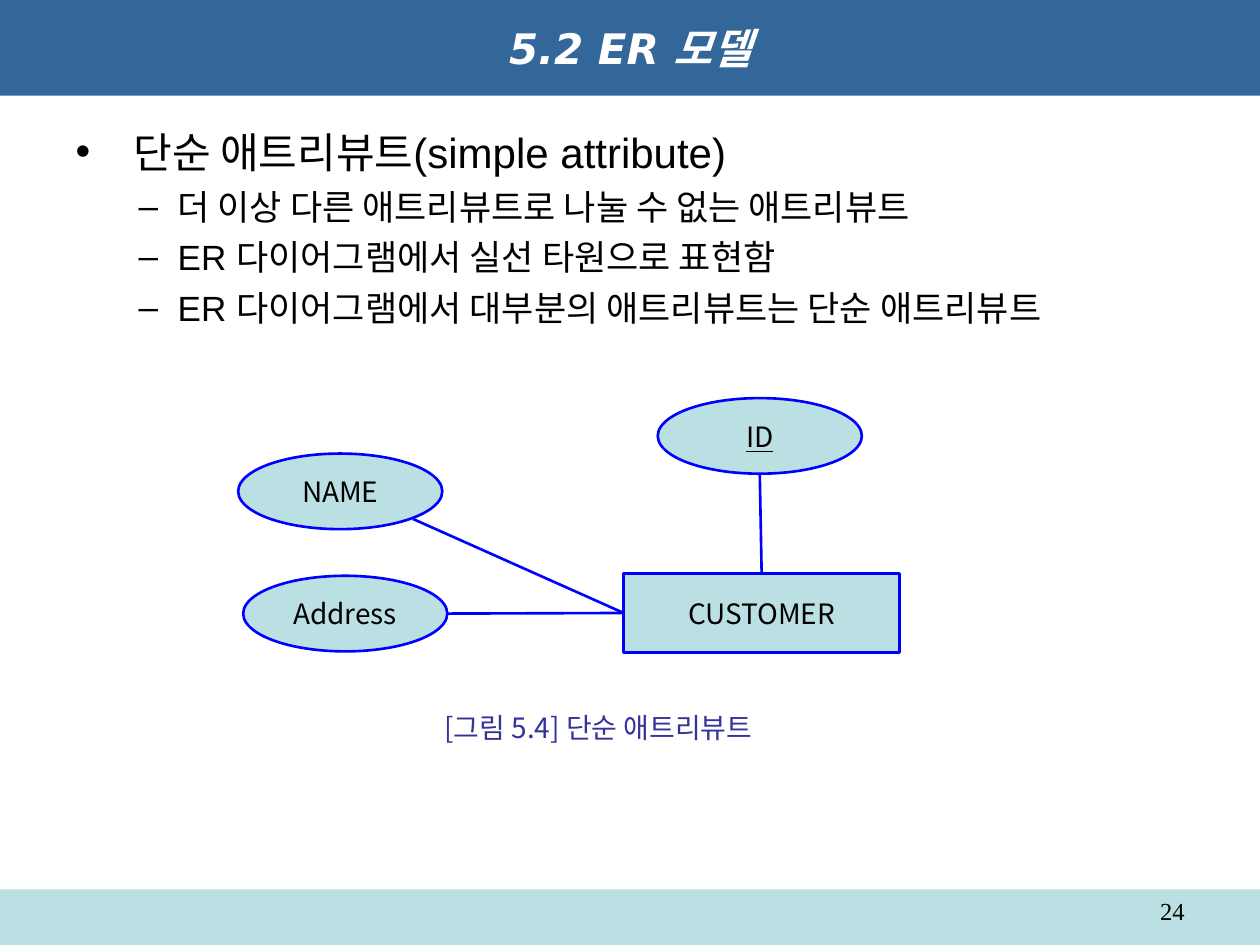
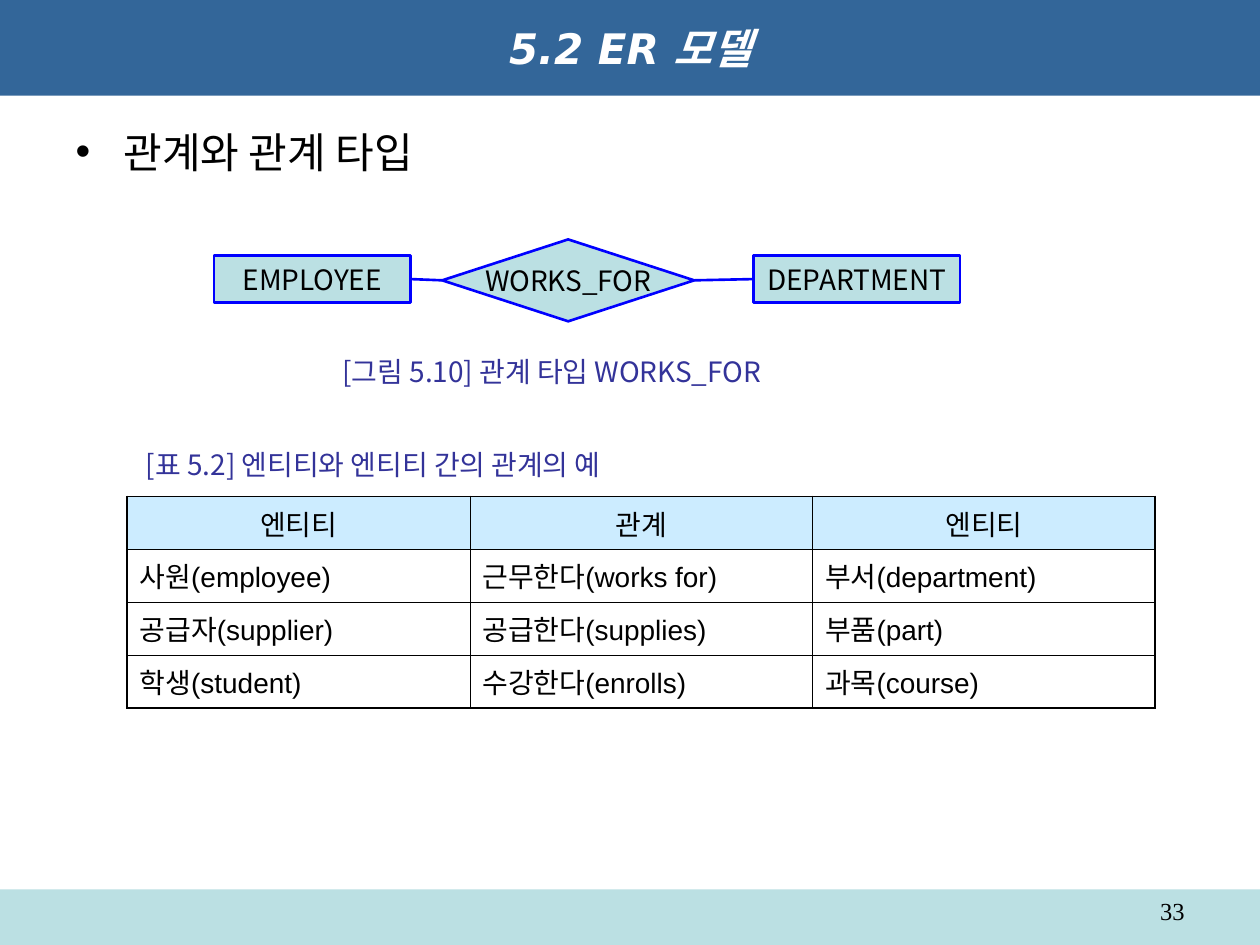
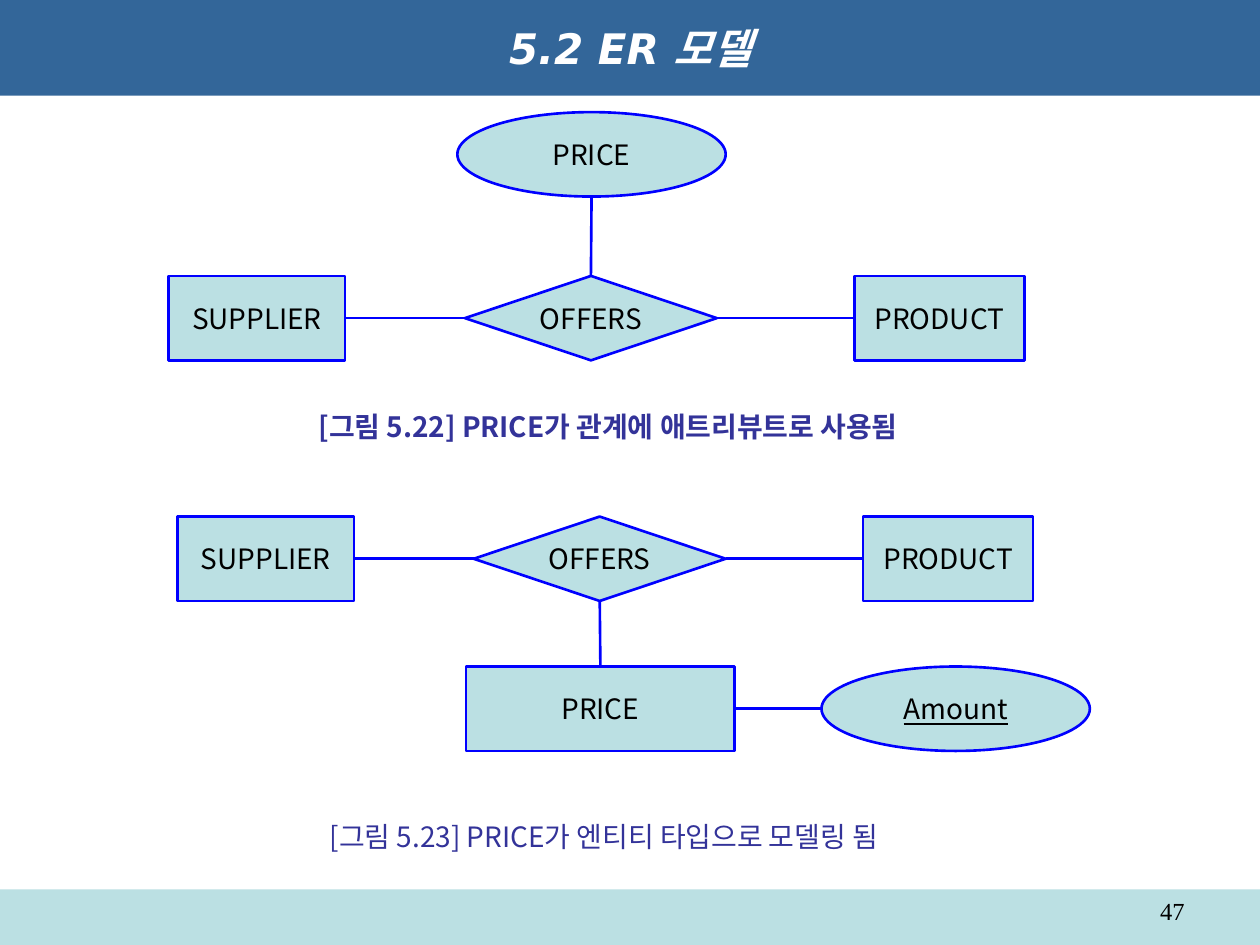
import pptx
import pptx.dml.color
import pptx.enum.shapes
import pptx.enum.text
import pptx.oxml
import pptx.oxml.ns
import pptx.util
from pptx.util import Inches

ALIGN = pptx.enum.text.PP_ALIGN
ANCHOR = pptx.enum.text.MSO_ANCHOR
SHAPE = pptx.enum.shapes.MSO_SHAPE
TOP, LEFT, BOTTOM, RIGHT = range(4)
DRAWING_NS = pptx.oxml.ns.nsdecls("a")


def color(value):
    return pptx.dml.color.RGBColor.from_string(value)


def parse_border(side, width):
    return pptx.oxml.parse_xml(
        f'<a:{side} {DRAWING_NS} w="{int(pptx.util.Pt(width))}"><a:solidFill>'
        f'<a:srgbClr val="000000"/></a:solidFill></a:{side}>')


def side_point(shape, side):
    """Middle of one side of a shape's frame."""
    across = {LEFT: 0, RIGHT: shape.width}.get(side, shape.width // 2)
    down = {TOP: 0, BOTTOM: shape.height}.get(side, shape.height // 2)
    return shape.left + across, shape.top + down


class Lecture:
    """The shared style and the page being filled."""

    BAND, TITLE_BAND, HEADER = "BBE0E3", "336699", "CCECFF"
    LINE, CAPTION, BLACK, WHITE = "0000FF", "333399", "000000", "FFFFFF"
    TITLE_FONT, BODY_FONT, NUMBER_FONT = "DejaVu Sans", "Arial", "Times New Roman"
    NODE_FONT, KOREAN_FONT = "Noto Sans CJK JP", "Noto Sans CJK KR"

    def __init__(self):
        self.deck = pptx.Presentation()
        self.deck.slide_width, self.deck.slide_height = Inches(10), Inches(7.5)
        self.page = None

    def style(self, para, name, size, fill=BLACK, bold=False, italic=False,
              underline=False, align=ALIGN.LEFT):
        para.alignment = align
        font = para.font
        font.name, font.size = name, pptx.util.Pt(size)
        font.bold, font.italic, font.underline = bold, italic, underline
        font.color.rgb = color(fill)
        east_asian = pptx.oxml.parse_xml(
            f'<a:ea {DRAWING_NS} typeface="{self.KOREAN_FONT}"/>')
        para._p.pPr.find(pptx.oxml.ns.qn("a:defRPr")).append(east_asian)

    def place(self, shape, left, top, width, height):
        shape.left, shape.top = Inches(left), Inches(top)
        shape.width, shape.height = Inches(width), Inches(height)

    def start_page(self, number, layout):
        self.page = self.deck.slides.add_slide(self.deck.slide_layouts[layout])
        if len(self.deck.slides) == 1:
            self.footer_band()
        title = self.page.shapes.title
        self.place(title, 0, 0, 10, 0.76)
        title.fill.solid()
        title.fill.fore_color.rgb = color(self.TITLE_BAND)
        title.text_frame.text = "5.2 ER 모델"
        title.text_frame.vertical_anchor = ANCHOR.MIDDLE
        self.style(title.text_frame.paragraphs[0], self.TITLE_FONT, 24, self.WHITE,
                   bold=True, italic=True, align=ALIGN.CENTER)
        box = self.page.shapes.add_textbox(
            Inches(7.17), Inches(7.06), Inches(2.33), Inches(0.29))
        box.text_frame.word_wrap = True
        box.text_frame.text = str(number)
        self.style(box.text_frame.paragraphs[0], self.NUMBER_FONT, 14,
                   align=ALIGN.RIGHT)

    def footer_band(self):
        """Put the band on the master, behind everything else."""
        band = self.page.shapes.add_shape(
            SHAPE.RECTANGLE, 0, Inches(7.06), Inches(10), Inches(0.44))
        band.shadow.inherit = False
        band.fill.solid()
        band.fill.fore_color.rgb = color(self.BAND)
        band.line.fill.background()
        self.deck.slide_master.shapes._spTree.insert(2, band._element)

    def bullets(self, heading, points=(), indent=0.38):
        body = self.page.placeholders[1]
        self.place(body, 0.5, 0.95, 9, 5.95)
        frame = body.text_frame
        frame.auto_size = pptx.enum.text.MSO_AUTO_SIZE.NONE
        frame.text = "\n".join([heading, *points])
        for index, para in enumerate(frame.paragraphs):
            para.level = 1 if index else 0
            margin, hang, size, before = (0.81, 0.31, 20, 5) if index else (
                indent, indent, 24, 0)
            properties = para._p.get_or_add_pPr()
            properties.set("marL", str(Inches(margin)))
            properties.set("indent", str(-Inches(hang)))
            para.space_before = pptx.util.Pt(before)
            self.style(para, self.BODY_FONT, size)

    def node(self, kind, text, left, top, width, height, key=False):
        shape = self.page.shapes.add_shape(
            kind, Inches(left), Inches(top), Inches(width), Inches(height))
        shape.shadow.inherit = False
        shape.fill.solid()
        shape.fill.fore_color.rgb = color(self.BAND)
        shape.line.color.rgb = color(self.LINE)
        shape.line.width = pptx.util.Pt(1.5)
        frame = shape.text_frame
        frame.word_wrap = False
        frame.vertical_anchor = ANCHOR.MIDDLE
        frame.text = text
        self.style(frame.paragraphs[0], self.NODE_FONT, 16, underline=key,
                   align=ALIGN.CENTER)
        return shape

    def link(self, start, start_side, end, end_side, start_point=None):
        """Join two nodes; ellipses are met by position only."""
        begin = start_point or side_point(start, start_side)
        line = self.page.shapes.add_connector(
            pptx.enum.shapes.MSO_CONNECTOR.STRAIGHT, *begin,
            *side_point(end, end_side))
        line.line.color.rgb = color(self.LINE)
        line.line.width = pptx.util.Pt(1.5)
        line._element.spPr.append(
            pptx.oxml.parse_xml(f"<a:effectLst {DRAWING_NS}/>"))
        if start.auto_shape_type != SHAPE.OVAL:
            line.begin_connect(start, start_side)
        if end.auto_shape_type != SHAPE.OVAL:
            line.end_connect(end, end_side)

    def caption(self, text, left, top, width, bold=False):
        box = self.page.shapes.add_textbox(
            Inches(left), Inches(top), Inches(width), Inches(0.37))
        frame = box.text_frame
        frame.word_wrap = False
        frame.auto_size = pptx.enum.text.MSO_AUTO_SIZE.SHAPE_TO_FIT_TEXT
        frame.vertical_anchor = ANCHOR.MIDDLE
        frame.text = text
        self.style(frame.paragraphs[0], self.KOREAN_FONT, 16, self.CAPTION, bold=bold)

    def table(self, rows, left, top, column_width, row_height):
        last_row, last_column = len(rows) - 1, len(rows[0]) - 1
        table = self.page.shapes.add_table(
            len(rows), len(rows[0]), Inches(left), Inches(top),
            Inches(column_width * len(rows[0])), Inches(row_height * len(rows))).table
        table.first_row = table.horz_banding = False
        for row, texts in enumerate(rows):
            table.rows[row].height = Inches(row_height)
            for column, text in enumerate(texts):
                cell = table.cell(row, column)
                cell.text = text
                cell.vertical_anchor = ANCHOR.MIDDLE
                cell.margin_left = cell.margin_right = Inches(0.1)
                self.style(cell.text_frame.paragraphs[0], self.BODY_FONT, 16,
                           align=ALIGN.LEFT if row else ALIGN.CENTER)
                if row:
                    cell.fill.background()
                else:
                    cell.fill.solid()
                    cell.fill.fore_color.rgb = color(self.HEADER)
                outer = {"lnL": column == 0, "lnR": column == last_column,
                         "lnT": row == 0, "lnB": row == last_row}
                for place, (side, is_outer) in enumerate(outer.items()):
                    cell._tc.get_or_add_tcPr().insert(
                        place, parse_border(side, 1.08 if is_outer else 0.45))


def simple_attribute(lecture):
    lecture.start_page(24, layout=1)
    lecture.bullets("단순 애트리뷰트(simple attribute)", [
        "더 이상 다른 애트리뷰트로 나눌 수 없는 애트리뷰트",
        "ER 다이어그램에서 실선 타원으로 표현함",
        "ER 다이어그램에서 대부분의 애트리뷰트는 단순 애트리뷰트"], indent=0.46)
    customer = lecture.node(SHAPE.RECTANGLE, "CUSTOMER", 4.95, 4.55, 2.19, 0.63)
    identity = lecture.node(SHAPE.OVAL, "ID", 5.22, 3.16, 1.62, 0.6, key=True)
    name = lecture.node(SHAPE.OVAL, "NAME", 1.89, 3.6, 1.62, 0.6)
    address = lecture.node(SHAPE.OVAL, "Address", 1.93, 4.57, 1.62, 0.6)
    lecture.link(address, RIGHT, customer, LEFT)
    lecture.link(name, RIGHT, customer, LEFT, (Inches(3.28), Inches(4.12)))
    lecture.link(identity, BOTTOM, customer, TOP)
    lecture.caption("[그림 5.4] 단순 애트리뷰트", 3.43, 5.59, 2.94)


def relationship_type(lecture):
    lecture.start_page(33, layout=1)
    lecture.bullets("관계와 관계 타입")
    # Diagram
    works_for = lecture.node(SHAPE.DIAMOND, "WORKS_FOR", 3.51, 1.9, 2, 0.65)
    employee = lecture.node(SHAPE.RECTANGLE, "EMPLOYEE", 1.7, 2.03, 1.56, 0.37)
    department = lecture.node(SHAPE.RECTANGLE, "DEPARTMENT", 5.98, 2.03, 1.64, 0.37)
    lecture.link(employee, RIGHT, works_for, LEFT)
    lecture.link(works_for, RIGHT, department, LEFT)
    lecture.caption("[그림 5.10] 관계 타입 WORKS_FOR", 2.62, 2.76, 3.91)
    # Examples
    lecture.caption("[표 5.2] 엔티티와 엔티티 간의 관계의 예", 1.06, 3.5, 4.22)
    lecture.table([
        ["엔티티", "관계", "엔티티"],
        ["사원(employee)", "근무한다(works for)", "부서(department)"],
        ["공급자(supplier)", "공급한다(supplies)", "부품(part)"],
        ["학생(student)", "수강한다(enrolls)", "과목(course)"]],
        1.01, 3.94, 2.72, 0.42)


def offers_diagram(lecture, left, top):
    """Draw SUPPLIER - OFFERS - PRODUCT and return the relationship."""
    height = 0.67
    offers = lecture.node(SHAPE.DIAMOND, "OFFERS", left + 2.35, top, 2, height)
    supplier = lecture.node(SHAPE.RECTANGLE, "SUPPLIER", left, top, 1.4, height)
    product = lecture.node(SHAPE.RECTANGLE, "PRODUCT", left + 5.44, top, 1.35, height)
    lecture.link(supplier, RIGHT, offers, LEFT)
    lecture.link(offers, RIGHT, product, LEFT)
    return offers


def price_modelling(lecture):
    lecture.start_page(47, layout=5)
    # Price as an attribute of the relationship
    offers = offers_diagram(lecture, 1.34, 2.19)
    price = lecture.node(SHAPE.OVAL, "PRICE", 3.63, 0.89, 2.13, 0.67)
    lecture.link(offers, TOP, price, BOTTOM)
    lecture.caption("[그림 5.22] PRICE가 관계에 애트리뷰트로 사용됨",
                    2.43, 3.2, 5.04, bold=True)
    # Price as an entity type
    offers = offers_diagram(lecture, 1.41, 4.1)
    price = lecture.node(SHAPE.RECTANGLE, "PRICE", 3.7, 5.29, 2.13, 0.67)
    amount = lecture.node(SHAPE.OVAL, "Amount", 6.52, 5.29, 2.13, 0.67, key=True)
    lecture.link(offers, BOTTOM, price, TOP)
    lecture.link(price, RIGHT, amount, LEFT)
    lecture.caption("[그림 5.23] PRICE가 엔티티 타입으로 모델링 됨", 2.52, 6.45, 4.98)


def main():
    lecture = Lecture()
    simple_attribute(lecture)
    relationship_type(lecture)
    price_modelling(lecture)
    lecture.deck.save("out.pptx")


if __name__ == "__main__":
    main()
